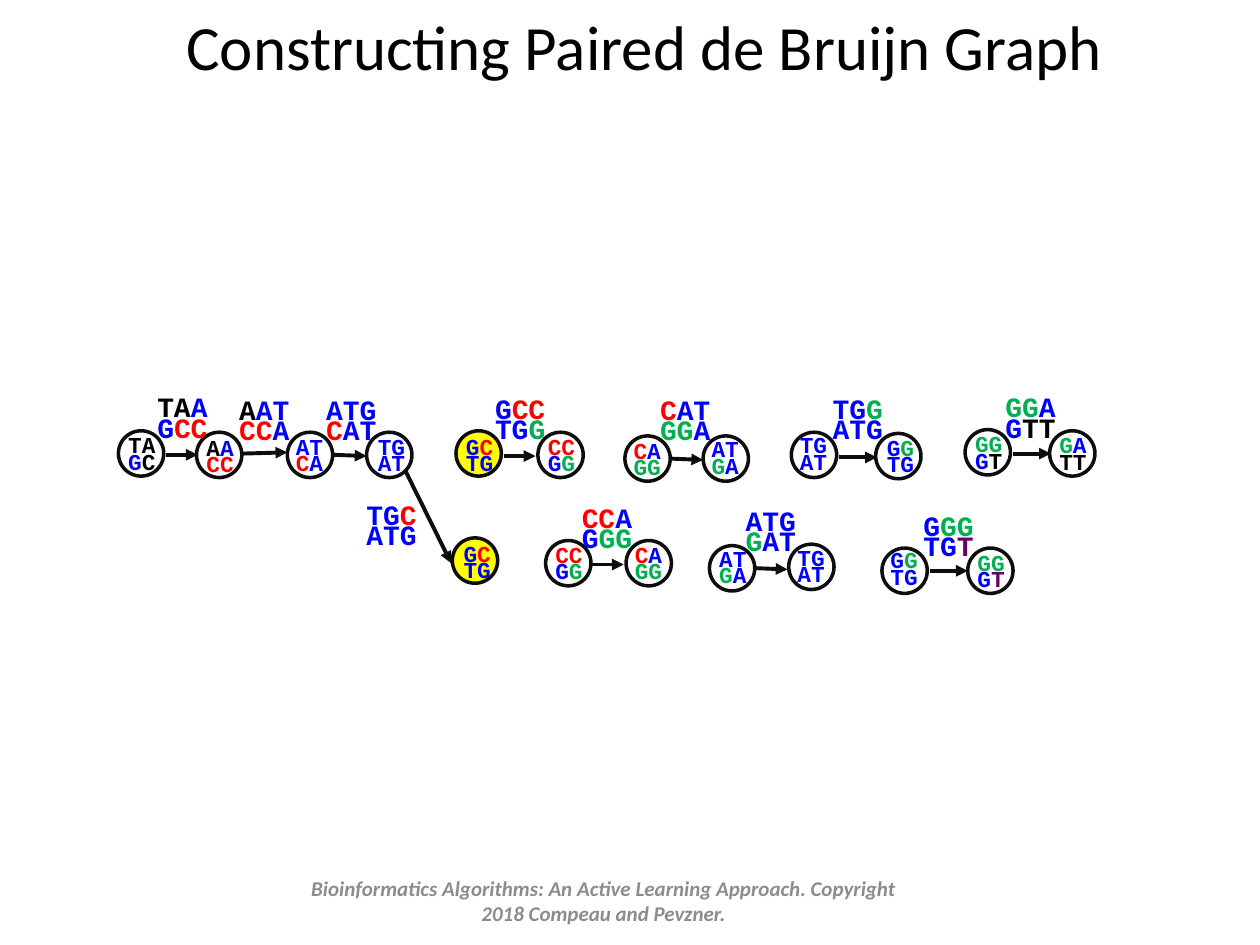
"""Build the paired de Bruijn graph slide."""
from dataclasses import dataclass
from itertools import groupby

from lxml import etree
from pptx import Presentation
from pptx.dml.color import RGBColor
from pptx.enum.shapes import MSO_CONNECTOR, MSO_SHAPE
from pptx.enum.text import MSO_ANCHOR, MSO_AUTO_SIZE, PP_ALIGN
from pptx.oxml.ns import qn
from pptx.slide import Slide
from pptx.text.text import TextFrame
from pptx.util import Pt

STRAIGHT = MSO_CONNECTOR.STRAIGHT
OVAL = MSO_SHAPE.OVAL
MIDDLE = MSO_ANCHOR.MIDDLE
GROW = MSO_AUTO_SIZE.SHAPE_TO_FIT_TEXT
CENTER = PP_ALIGN.CENTER
COLOURS = {
    "k": "000000",
    "b": "0000FF",
    "r": "FF0000",
    "g": "00B050",
    "p": "660066",
    "outline": "0D0D0D",
    "highlight": "FFFF00",
    "footer": "8C8C8C",
}
NODE_SIZE = 25.9


@dataclass
class KmerPair:
    """Two stacked k-mers, with one colour key per letter."""
    left: float
    top: float
    kmers: str
    tints: str


@dataclass
class Node:
    """A circle holding a pair of 2-mers."""
    left: float
    top: float
    pair: KmerPair
    highlighted: bool = False


@dataclass
class Edge:
    """An arrow labelled with a pair of 3-mers."""
    start: tuple[float, float]
    end: tuple[float, float]
    pair: KmerPair


NODES = [
    Node(67.7, 246.2, KmerPair(66.2, 248.4, "TA GC", "kk bk")),
    Node(112.3, 247, KmerPair(110.9, 249.8, "AA CC", "kb rr")),
    Node(164.2, 247, KmerPair(162, 249.1, "AT CA", "bb rb")),
    Node(209.5, 247, KmerPair(208.8, 249.1, "TG AT", "bb bb")),
    Node(258.5, 307.4, KmerPair(257.8, 310.3, "GC TG", "br bb"), True),
    Node(260.6, 246.2, KmerPair(259.2, 249.1, "GC TG", "br bb"), True),
    Node(307.4, 247, KmerPair(306, 249.1, "CC GG", "rr bg")),
    Node(311.8, 308.9, KmerPair(310.3, 311, "CC GG", "rr bg")),
    Node(357.8, 308.9, KmerPair(355.7, 311, "CA GG", "rb gg")),
    Node(357.1, 249.1, KmerPair(355, 251.3, "CA GG", "rb gg")),
    Node(401.8, 249.1, KmerPair(399.6, 250.6, "AT GA", "bb gb")),
    Node(405.4, 311.8, KmerPair(403.9, 313.2, "AT GA", "bb gb")),
    Node(450.7, 311, KmerPair(448.6, 312.5, "TG AT", "bb bb")),
    Node(452.2, 247, KmerPair(450, 248.4, "TG AT", "bb bb")),
    Node(500.4, 247.7, KmerPair(499.7, 249.8, "GG TG", "bg bb")),
    Node(504, 313.2, KmerPair(501.8, 313.9, "GG TG", "bg bb")),
    Node(553, 313.2, KmerPair(551.5, 315.4, "GG GT", "gg bp")),
    Node(551.5, 245.5, KmerPair(550.1, 247.7, "GG GT", "gg bk")),
    Node(599.8, 246.2, KmerPair(598.3, 248.4, "GA TT", "gb kk")),
]
EDGES = [
    Edge((95, 259.9), (113, 259.9), KmerPair(82.8, 226.1, "TAA GCC", "kkb brr")),
    Edge((138.2, 259.2), (164.2, 258.5), KmerPair(129.6, 227.5, "AAT CCA", "kbb rrb")),
    Edge((190.1, 259.9), (209.5, 260.6), KmerPair(179.3, 227.5, "ATG CAT", "bbb rbb")),
    Edge((231.8, 269.3), (257.8, 321.8), KmerPair(202.3, 287.3, "TGC ATG", "bbr bbb")),
    Edge((288, 260.6), (306, 260.6), KmerPair(275.8, 226.8, "GCC TGG", "brr bbg")),
    Edge((338.4, 322.6), (356.4, 322.6), KmerPair(325.4, 289.4, "CCA GGG", "rrb bgg")),
    Edge((383.8, 262.1), (401.8, 262.8), KmerPair(370.1, 227.5, "CAT GGA", "rbb ggb")),
    Edge((432, 324.7), (450, 325.4), KmerPair(419, 290.9, "ATG GAT", "bbb gbb")),
    Edge((479.5, 261.4), (501.1, 261.4), KmerPair(468.7, 226.8, "TGG ATG", "bbg bbb")),
    Edge((531.4, 326.2), (553, 326.2), KmerPair(520.6, 293.8, "GGG TGT", "bgg bbp")),
    Edge((578.9, 259.2), (600.5, 259.2), KmerPair(567.4, 226.1, "GGA GTT", "ggb bkk")),
]


def rgb(key: str) -> RGBColor:
    """Return the named colour."""
    return RGBColor.from_string(COLOURS[key])


def draw_pair(slide: Slide, pair: KmerPair, size: float, width: float, height: float) -> None:
    """Write two k-mers one above the other."""
    frame = slide.shapes.add_textbox(
        Pt(pair.left), Pt(pair.top), Pt(width), Pt(height)).text_frame
    frame.word_wrap = False
    frame.auto_size = GROW
    for row, (kmer, tints) in enumerate(zip(pair.kmers.split(), pair.tints.split())):
        line = frame.add_paragraph() if row else frame.paragraphs[0]
        line.line_spacing = 0.6
        for tint, letters in groupby(zip(kmer, tints), key=lambda item: item[1]):
            run = line.add_run()
            run.text = "".join(letter for letter, _ in letters)
            run.font.name = "Courier New"
            run.font.size = Pt(size)
            run.font.bold = True
            run.font.color.rgb = rgb(tint)


def draw_node(slide: Slide, node: Node) -> None:
    """Draw a circle and its 2-mers."""
    circle = slide.shapes.add_shape(
        OVAL, Pt(node.left), Pt(node.top), Pt(NODE_SIZE), Pt(NODE_SIZE))
    circle.shadow.inherit = False
    if node.highlighted:
        circle.fill.solid()
        circle.fill.fore_color.rgb = rgb("highlight")
    else:
        circle.fill.background()
    circle.line.color.rgb = rgb("outline")
    circle.line.width = Pt(2)
    draw_pair(slide, node.pair, 13, 30.5, 25.9)


def draw_edge(slide: Slide, edge: Edge) -> None:
    """Draw an arrow and its 3-mers."""
    arrow = slide.shapes.add_connector(
        STRAIGHT, *(Pt(value) for value in edge.start + edge.end))
    arrow.line.color.rgb = rgb("outline")
    arrow.line.width = Pt(2.25)
    properties = arrow._element.spPr
    etree.SubElement(properties.find(qn("a:ln")), qn("a:tailEnd"), type="triangle")
    etree.SubElement(properties, qn("a:effectLst"))
    draw_pair(slide, edge.pair, 16, 44, 30.2)


def add_caption(slide: Slide, box: tuple[float, float, float, float],
                wording: str, size: float, colour: str) -> TextFrame:
    """Add a centred line of text and return its frame."""
    frame = slide.shapes.add_textbox(*(Pt(value) for value in box)).text_frame
    frame.word_wrap = True
    frame.paragraphs[0].alignment = CENTER
    run = frame.paragraphs[0].add_run()
    run.text = wording
    run.font.name = "Calibri"
    run.font.size = Pt(size)
    run.font.color.rgb = rgb(colour)
    return frame


def main() -> None:
    """Build and save the slide."""
    deck = Presentation()
    deck.slide_width, deck.slide_height = Pt(720), Pt(540)
    slide = deck.slides.add_slide(deck.slide_layouts[6])
    add_caption(slide, (5, 0.7, 726.5, 51.1), "Constructing Paired de Bruijn Graph", 36, "k")
    for node in NODES:
        draw_node(slide, node)
    for edge in EDGES:
        draw_edge(slide, edge)
    footer = add_caption(
        slide, (162, 500.4, 365.8, 28.8),
        "Bioinformatics Algorithms: An Active Learning Approach. "
        "Copyright 2018 Compeau and Pevzner.", 12, "footer")
    footer.vertical_anchor = MIDDLE
    citation = footer.paragraphs[0].runs[0].font
    citation.bold = citation.italic = True
    deck.save("out.pptx")


if __name__ == "__main__":
    main()
